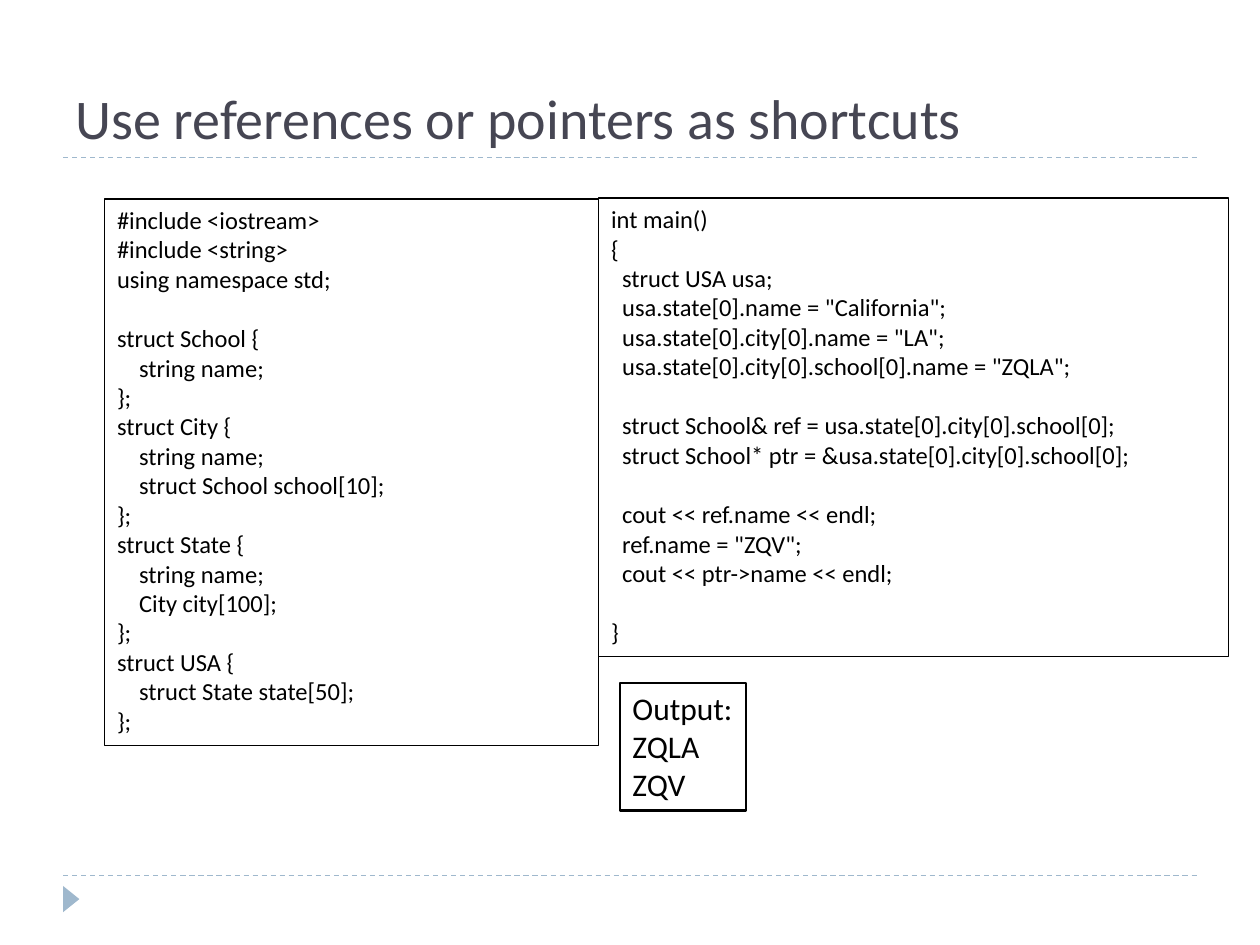
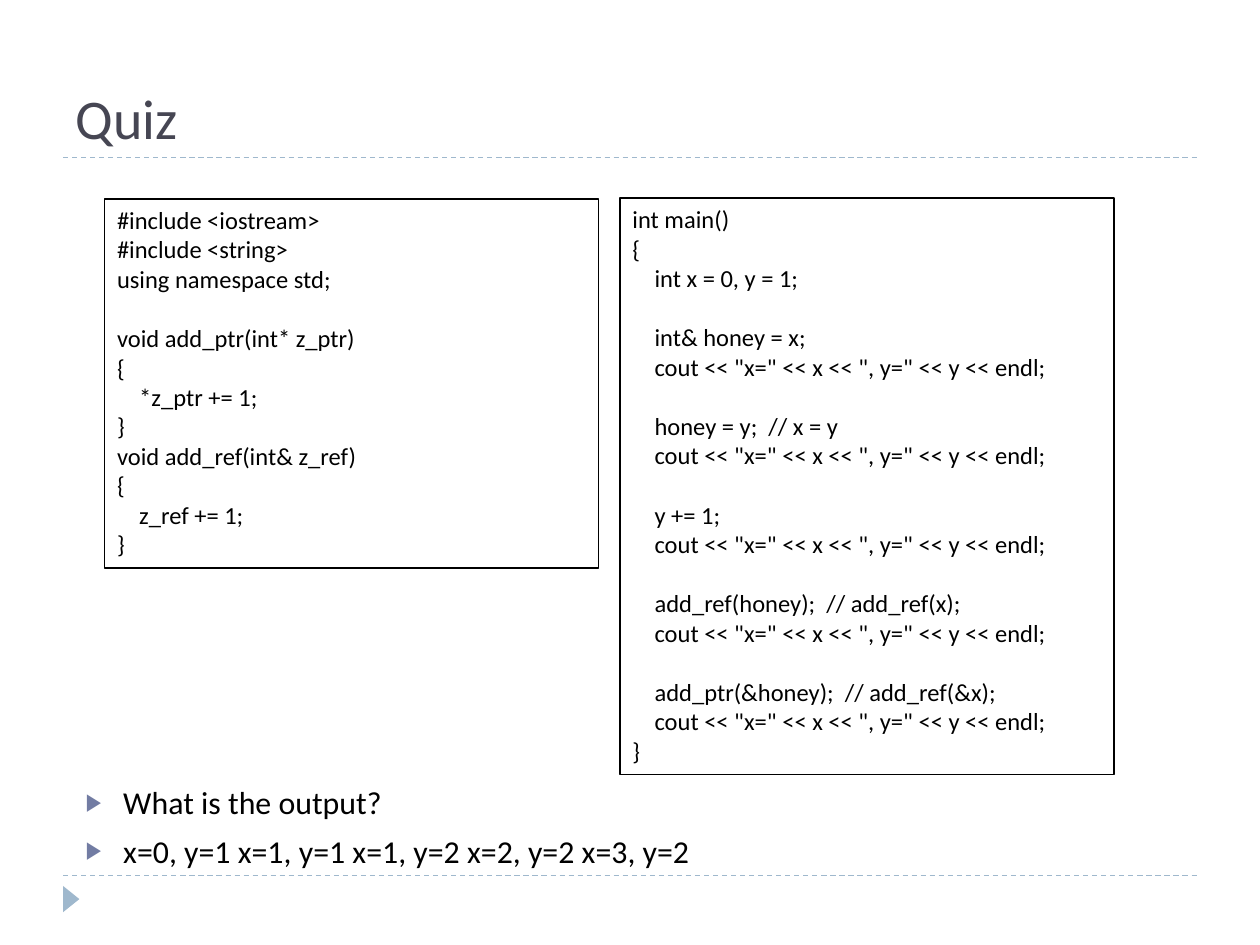
from dataclasses import dataclass

from lxml import etree
from pptx import Presentation
from pptx.dml.color import RGBColor
from pptx.enum.dml import MSO_LINE
from pptx.enum.shapes import MSO_CONNECTOR, MSO_SHAPE
from pptx.enum.text import MSO_ANCHOR, MSO_AUTO_SIZE, PP_ALIGN
from pptx.oxml.ns import qn
from pptx.shapes.base import BaseShape
from pptx.slide import Slide
from pptx.text.text import _Paragraph
from pptx.util import Cm, Pt

WHITE = RGBColor(0xFF, 0xFF, 0xFF)
BLACK = RGBColor(0x00, 0x00, 0x00)
SLATE = RGBColor(0x46, 0x46, 0x53)
MIST = RGBColor(0x9F, 0xB8, 0xCD)
INDIGO = RGBColor(0x72, 0x7C, 0xA3)

DASH = MSO_LINE.DASH
STRAIGHT = MSO_CONNECTOR.STRAIGHT
WEDGE = MSO_SHAPE.ISOSCELES_TRIANGLE
LEFT = PP_ALIGN.LEFT
TOP = MSO_ANCHOR.TOP
BOTTOM = MSO_ANCHOR.BOTTOM
NO_FIT = MSO_AUTO_SIZE.NONE
GROW = MSO_AUTO_SIZE.SHAPE_TO_FIT_TEXT

FONT = "Calibri"
LINE_RATIO = 1.22
SPACE_RATIO = 0.226
LIST_LAYOUT = 1
TITLE_LAYOUT = 5


@dataclass(frozen=True)
class Box:
    left: float
    top: float
    width: float
    height: float
    text: str
    size: float = 14
    border: float = 0.75
    wrap: bool = True
    fill: RGBColor | None = None


@dataclass(frozen=True)
class Page:
    title: str
    boxes: tuple[Box, ...]
    points: tuple[str, ...] = ()


HEAD = """#include <iostream>
#include <string>
using namespace std;

"""

STRUCTS = HEAD + """struct School {
    string name;
};
struct City {
    string name;
    struct School school[10];
};
struct State {
    string name;
    City city[100];
};
struct USA {
    struct State state[50];
};"""

SHORTCUTS = """int main()
{
  struct USA usa;
  usa.state[0].name = "California";
  usa.state[0].city[0].name = "LA";
  usa.state[0].city[0].school[0].name = "ZQLA";

  struct School& ref = usa.state[0].city[0].school[0];
  struct School* ptr = &usa.state[0].city[0].school[0];

  cout << ref.name << endl;
  ref.name = "ZQV";
  cout << ptr->name << endl;

}"""

ADDERS = HEAD + """void add_ptr(int* z_ptr)
{
    *z_ptr += 1;
}
void add_ref(int& z_ref)
{
    z_ref += 1;
}"""

PRINT = '    cout << "x=" << x << ", y=" << y << endl;'
STEPS = (
    "int& honey = x;",
    "honey = y;  // x = y",
    "y += 1;",
    "add_ref(honey);  // add_ref(x);",
    "add_ptr(&honey);  // add_ref(&x);",
)
QUIZ = "\n".join(
    ["int main()", "{", "    int x = 0, y = 1;"]
    + [f"\n    {step}\n{PRINT}" for step in STEPS]
    + ["}"]
)

PAGES = (
    Page(
        "Use references or pointers as shortcuts",
        (
            Box(2.11, 4.01, 9.96, 11.02, STRUCTS),
            Box(12.07, 3.99, 12.7, 9.25, SHORTCUTS),
            Box(12.5, 13.77, 2.54, 2.57, "Output:\nZQLA\nZQV",
                size=18, border=1.5, wrap=False, fill=WHITE),
        ),
    ),
    Page(
        "Quiz",
        (
            Box(2.11, 4.01, 9.96, 7.44, ADDERS),
            Box(12.5, 3.99, 9.96, 11.63, QUIZ),
        ),
        ("What is the output?", "x=0, y=1 x=1, y=1 x=1, y=2 x=2, y=2 x=3, y=2"),
    ),
)


def place(shape: BaseShape, left: float, top: float, width: float, height: float) -> None:
    shape.left, shape.top = Cm(left), Cm(top)
    shape.width, shape.height = Cm(width), Cm(height)


def write(para: _Paragraph, text: str, size: float, color: RGBColor) -> None:
    para.alignment = LEFT
    run = para.add_run()
    run.text = text
    run.font.name = FONT
    run.font.size = Pt(size)
    run.font.color.rgb = color


def indent(para: _Paragraph, left: int, first: int = 0) -> None:
    props = para._p.get_or_add_pPr()
    props.set("marL", str(int(left)))
    props.set("indent", str(int(first)))


def bullet(para: _Paragraph) -> None:
    props = para._p.get_or_add_pPr()
    tint = etree.SubElement(props, qn("a:buClr"))
    etree.SubElement(tint, qn("a:srgbClr")).set("val", str(INDIGO))
    etree.SubElement(props, qn("a:buSzPct")).set("val", "76000")
    etree.SubElement(props, qn("a:buChar")).set("char", "▶")


def draw_rule(slide: Slide, top: float) -> None:
    rule = slide.shapes.add_connector(STRAIGHT, Cm(1.27), Cm(top), Cm(24.13), Cm(top))
    rule.line.color.rgb = MIST
    rule.line.width = Pt(0.75)
    rule.line.dash_style = DASH
    etree.SubElement(rule._element.spPr, qn("a:effectLst"))


def draw_frame(slide: Slide) -> None:
    slide.background.fill.solid()
    slide.background.fill.fore_color.rgb = WHITE
    for top in (17.65, 3.18):
        draw_rule(slide, top)
    mark = slide.shapes.add_shape(WEDGE, Cm(1.17), Cm(17.96), Cm(0.53), Cm(0.33))
    mark.rotation = 90
    mark.shadow.inherit = False
    mark.fill.solid()
    mark.fill.fore_color.rgb = MIST
    mark.line.fill.background()


def draw_title(slide: Slide, text: str) -> None:
    title = slide.shapes.title
    place(title, 1.27, 0.43, 22.86, 2.74)
    frame = title.text_frame
    frame.auto_size = NO_FIT
    frame.vertical_anchor = BOTTOM
    write(frame.paragraphs[0], text, 32, SLATE)


def draw_list(slide: Slide, points: tuple[str, ...]) -> None:
    body = slide.placeholders[1]
    place(body, 1.47, 15.65, 22.86, 1.7)
    frame = body.text_frame
    frame.auto_size = NO_FIT
    frame.vertical_anchor = TOP
    for index, point in enumerate(points):
        para = frame.add_paragraph() if index else frame.paragraphs[0]
        write(para, point, 18.2, BLACK)
        para.space_before = Pt(6)
        indent(para, Cm(0.76), Cm(-0.76))
        bullet(para)


def draw_box(slide: Slide, box: Box) -> None:
    shape = slide.shapes.add_textbox(
        Cm(box.left), Cm(box.top), Cm(box.width), Cm(box.height))
    shape.line.color.rgb = BLACK
    shape.line.width = Pt(box.border)
    if box.fill is not None:
        shape.fill.solid()
        shape.fill.fore_color.rgb = box.fill
    frame = shape.text_frame
    frame.word_wrap = box.wrap
    frame.auto_size = GROW
    gap = 0
    for index, line in enumerate(box.text.split("\n")):
        if not line:
            gap += 1
            continue
        para = frame.add_paragraph() if index else frame.paragraphs[0]
        code = line.lstrip()
        write(para, code, box.size, BLACK)
        para.space_before = Pt(gap * box.size * LINE_RATIO)
        indent(para, Pt((len(line) - len(code)) * box.size * SPACE_RATIO))
        gap = 0


def main() -> None:
    deck = Presentation()
    deck.slide_width, deck.slide_height = Cm(25.4), Cm(19.05)
    for page in PAGES:
        layout = LIST_LAYOUT if page.points else TITLE_LAYOUT
        slide = deck.slides.add_slide(deck.slide_layouts[layout])
        draw_frame(slide)
        draw_title(slide, page.title)
        if page.points:
            draw_list(slide, page.points)
        for box in page.boxes:
            draw_box(slide, box)
    deck.save("out.pptx")


main()
